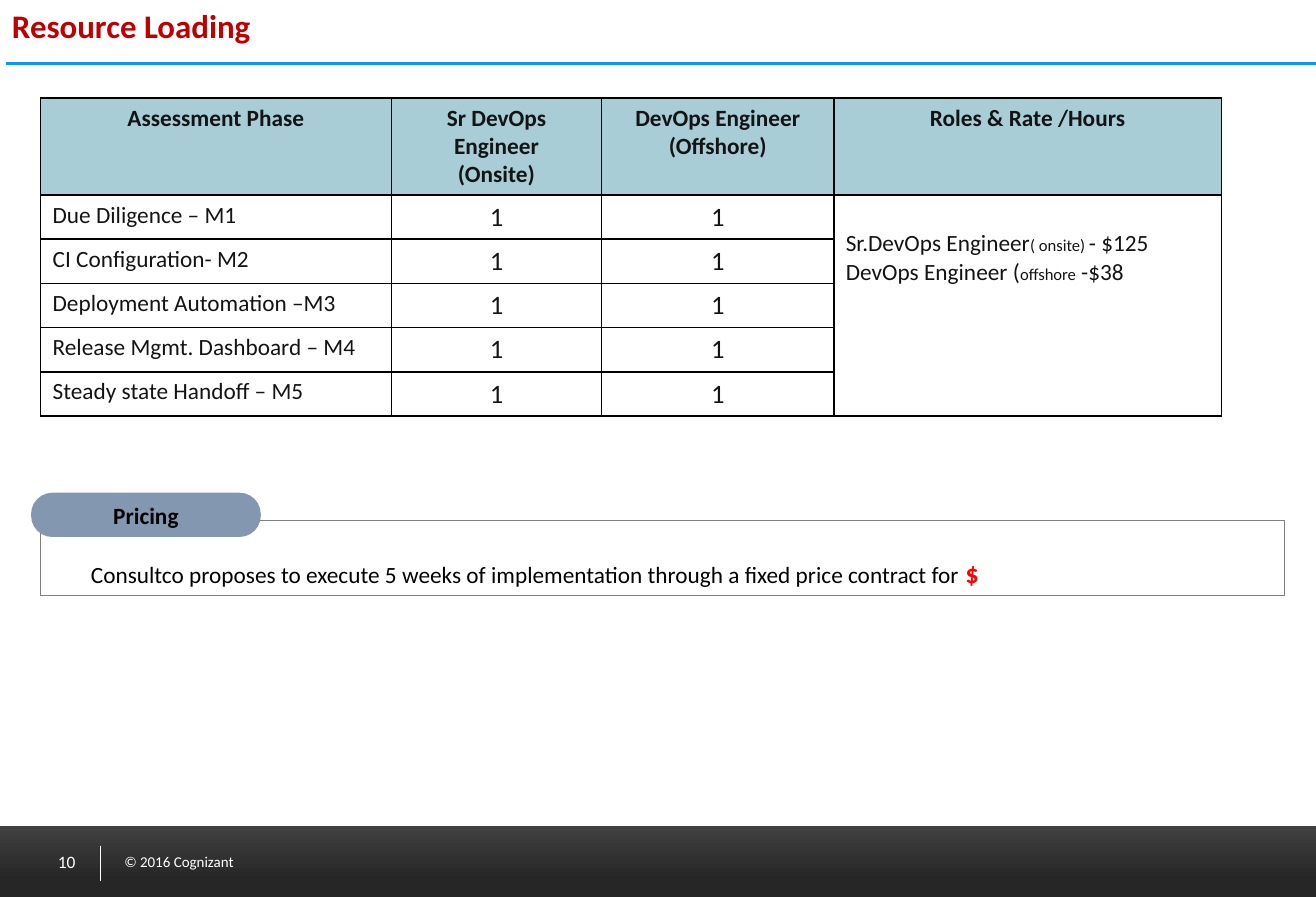
from lxml.etree import SubElement
from pptx import Presentation
from pptx.dml.color import RGBColor
from pptx.enum.shapes import MSO_CONNECTOR as Connector, MSO_SHAPE as Shape
from pptx.enum.text import MSO_ANCHOR as Anchor, PP_ALIGN as Align
from pptx.oxml.ns import qn
from pptx.util import Inches, Pt

BLACK = RGBColor(0x00, 0x00, 0x00)
WHITE = RGBColor(0xFF, 0xFF, 0xFF)
INK = RGBColor(0x14, 0x14, 0x14)
CRIMSON = RGBColor(0xC0, 0x00, 0x00)
RED = RGBColor(0xFF, 0x00, 0x00)
BLUE = RGBColor(0x0E, 0x97, 0xF0)
TEAL = RGBColor(0xA8, 0xCD, 0xD7)
SLATE = RGBColor(0x84, 0x97, 0xB0)
GRAY = RGBColor(0x80, 0x80, 0x80)
CHARCOAL = RGBColor(0x26, 0x26, 0x26)
DARK_GRAY = RGBColor(0x40, 0x40, 0x40)

TITLE = "Resource Loading"
HEADERS = [
    ["Assessment Phase"],
    ["Sr DevOps Engineer", "(Onsite)"],
    ["DevOps Engineer", "(Offshore)"],
    ["Roles & Rate /Hours"],
]
PHASES = [
    ("Due Diligence – M1", "1", "1"),
    ("CI Configuration- M2", "1", "1"),
    ("Deployment Automation –M3", "1", "1"),
    ("Release Mgmt. Dashboard – M4", "1", "1"),
    ("Steady state Handoff – M5", "1", "1"),
]
RATES = [
    [("Sr.DevOps Engineer", 14), ("( onsite) ", 10), ("- $125", 14)],
    [("DevOps Engineer (", 14), ("offshore", 10), (" -$38", 14)],
]
PRICING = "Pricing"
PROPOSAL = ("Consultco proposes to execute 5 weeks of implementation "
            "through a fixed price contract for ")
PRICE = "$"
PAGE = "10"
COPYRIGHT = "© 2016 Cognizant"

COLUMN_WIDTHS = [2.93, 1.76, 1.94, 3.24]
HEADER_HEIGHT, ROW_HEIGHT = 0.81, 0.37


def add_run(paragraph, text, size, color, bold=False):
    run = paragraph.add_run()
    run.text = text
    font = run.font
    font.name, font.size, font.bold = "Calibri", Pt(size), bold
    font.color.rgb = color


def write(frame, lines, align=Align.LEFT):
    for index, runs in enumerate(lines):
        paragraph = frame.add_paragraph() if index else frame.paragraphs[0]
        paragraph.alignment = align
        for run in runs:
            add_run(paragraph, *run)


def set_insets(frame, left=0.1, top=0.05, right=0.1, bottom=0.05):
    frame.margin_left, frame.margin_top = Inches(left), Inches(top)
    frame.margin_right, frame.margin_bottom = Inches(right), Inches(bottom)


def add_line(slide, x1, y1, x2, y2, color, width):
    line = slide.shapes.add_connector(
        Connector.STRAIGHT, Inches(x1), Inches(y1), Inches(x2), Inches(y2))
    line.line.color.rgb = color
    line.line.width = Pt(width)
    SubElement(line._element.spPr, qn("a:effectLst"))


def add_box(slide, preset, left, top, width, height):
    box = slide.shapes.add_shape(
        preset, Inches(left), Inches(top), Inches(width), Inches(height))
    box.shadow.inherit = False
    return box


def add_label(slide, left, top, width, height, run, align=Align.LEFT):
    label = slide.shapes.add_textbox(
        Inches(left), Inches(top), Inches(width), Inches(height))
    label.text_frame.word_wrap = True
    label.text_frame.vertical_anchor = Anchor.MIDDLE
    write(label.text_frame, [[run]], align)


def add_borders(cell):
    properties = cell._tc.get_or_add_tcPr()
    for index, side in enumerate(("a:lnL", "a:lnR", "a:lnT", "a:lnB")):
        border = properties.makeelement(qn(side), {"w": str(Pt(1))})
        fill = SubElement(border, qn("a:solidFill"))
        SubElement(fill, qn("a:srgbClr"), val=str(BLACK))
        properties.insert(index, border)


def add_footer(slide):
    band = add_box(slide, Shape.RECTANGLE, 0, 6.91, 11, 0.59)
    band.line.fill.background()
    band.fill.gradient()
    band.fill.gradient_angle = 270
    stops = [(0, DARK_GRAY), (0.76, CHARCOAL)]
    for stop, (position, color) in zip(band.fill.gradient_stops, stops):
        stop.position, stop.color.rgb = position, color
    add_label(slide, 0.94, 7.08, 2.31, 0.25, (COPYRIGHT, 9, WHITE))
    add_line(slide, 0.84, 7.07, 0.84, 7.37, WHITE, 0.5)
    add_label(slide, 0.2, 6.97, 0.53, 0.47, (PAGE, 10.5, WHITE), Align.RIGHT)


def add_title(slide):
    add_line(slide, 0.05, 0.53, 11, 0.53, BLUE, 1.5)
    title = slide.shapes.title
    title.left, title.top = Inches(0), Inches(0)
    title.width, title.height = Inches(11), Inches(0.83)
    title.text_frame.vertical_anchor = Anchor.TOP
    write(title.text_frame, [[(TITLE, 19.8, CRIMSON, True)]])


def add_loading_table(slide):
    rows = len(PHASES) + 1
    table = slide.shapes.add_table(
        rows, len(HEADERS), Inches(0.34), Inches(0.82),
        Inches(sum(COLUMN_WIDTHS)),
        Inches(HEADER_HEIGHT + ROW_HEIGHT * len(PHASES))).table
    table.first_row = table.horz_banding = False
    for column, width in zip(table.columns, COLUMN_WIDTHS):
        column.width = Inches(width)
    for index, row in enumerate(table.rows):
        row.height = Inches(ROW_HEIGHT if index else HEADER_HEIGHT)
        for cell in row.cells:
            if index:
                cell.fill.background()
            else:
                cell.fill.solid()
                cell.fill.fore_color.rgb = TEAL
            add_borders(cell)

    for column, lines in enumerate(HEADERS):
        write(table.cell(0, column).text_frame,
              [[(line, 14, INK, True)] for line in lines], Align.CENTER)
    for row, (phase, *counts) in enumerate(PHASES, 1):
        write(table.cell(row, 0).text_frame, [[(phase, 14, INK)]])
        for column, count in enumerate(counts, 1):
            write(table.cell(row, column).text_frame,
                  [[(count, 16, INK)]], Align.CENTER)

    rates = table.cell(1, 3)
    rates.merge(table.cell(rows - 1, 3))
    rates.margin_top = Inches(0.29)
    write(rates.text_frame,
          [[(text, size, INK) for text, size in line] for line in RATES])


def add_pricing(slide):
    proposal = add_box(slide, Shape.RECTANGLE, 0.34, 4.35, 10.4, 0.63)
    proposal.fill.background()
    proposal.line.color.rgb = GRAY
    proposal.line.width = Pt(0.75)
    proposal.text_frame.word_wrap = True
    proposal.text_frame.vertical_anchor = Anchor.TOP
    set_insets(proposal.text_frame, left=0.42, top=0.31)
    write(proposal.text_frame,
          [[(PROPOSAL, 14, BLACK), (PRICE, 16, RED, True)]], Align.JUSTIFY)

    heading = add_box(slide, Shape.ROUNDED_RECTANGLE, 0.26, 4.12, 1.92, 0.37)
    heading.adjustments[0] = 0.48
    heading.fill.solid()
    heading.fill.fore_color.rgb = SLATE
    heading.line.fill.background()
    heading.text_frame.vertical_anchor = Anchor.MIDDLE
    set_insets(heading.text_frame, 0, 0, 0, 0)
    write(heading.text_frame, [[(PRICING, 14, BLACK, True)]], Align.CENTER)


def main():
    deck = Presentation()
    deck.slide_width, deck.slide_height = Inches(11), Inches(7.5)
    slide = deck.slides.add_slide(deck.slide_layouts[5])
    add_footer(slide)
    add_title(slide)
    add_loading_table(slide)
    add_pricing(slide)
    deck.save("out.pptx")


if __name__ == "__main__":
    main()
